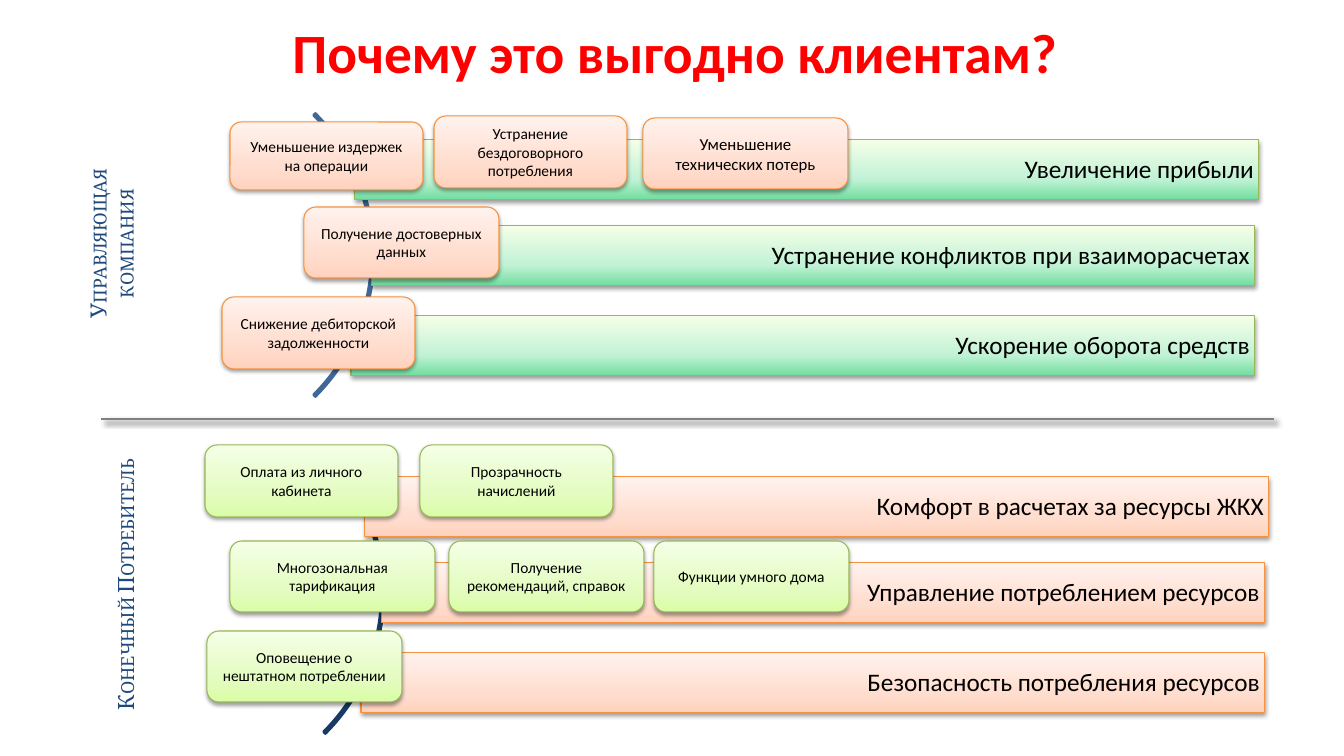
from pptx import Presentation
from pptx.dml.color import RGBColor
from pptx.enum.shapes import MSO_CONNECTOR, MSO_SHAPE
from pptx.enum.text import MSO_ANCHOR, MSO_AUTO_SIZE, PP_ALIGN
from pptx.oxml import parse_xml
from pptx.oxml.ns import nsdecls
from pptx.util import Emu, Pt

SCALE = 914400 / 100.8

BLACK = RGBColor(0x00, 0x00, 0x00)
RED = RGBColor(0xFF, 0x00, 0x00)
NAVY = RGBColor(0x1F, 0x49, 0x7D)
GRAY = RGBColor(0x80, 0x80, 0x80)
ARC_BLUE = RGBColor(0x3F, 0x67, 0x97)
ARC_DARK = RGBColor(0x19, 0x3A, 0x64)
GREEN_LINE = RGBColor(0x98, 0xB9, 0x55)
ORANGE_LINE = RGBColor(0xF6, 0x92, 0x40)
PALE_GREEN = RGBColor(0xF5, 0xFF, 0xE7)

# Each style: gradient colours from bottom to top, then the outline
MINT = ((RGBColor(0x6F, 0xDE, 0x9E), RGBColor(0xC2, 0xF2, 0xD6), PALE_GREEN), GREEN_LINE)
LIME = ((RGBColor(0xDA, 0xFD, 0xA7), RGBColor(0xE4, 0xFC, 0xC2), PALE_GREEN), GREEN_LINE)
PEACH = ((RGBColor(0xFF, 0xD2, 0xBD), RGBColor(0xFF, 0xDE, 0xD0),
          RGBColor(0xFF, 0xF2, 0xED)), ORANGE_LINE)

# Bars of one section: left, top, width
BARS = [(355, 140, 904), (372, 226, 883), (351, 316, 904)]
BAR_HEIGHT = 60
SECTION_SHIFT = (10, 337)

COMPANY_BARS = ["Увеличение прибыли", "Устранение конфликтов при взаиморасчетах",
                "Ускорение оборота средств"]
CONSUMER_BARS = ["Комфорт в расчетах за ресурсы ЖКХ", "Управление потреблением ресурсов",
                 "Безопасность потребления ресурсов"]

# Cards: text, left, top, width, height, font size
COMPANY_CARDS = [
    ("Получение достоверных данных", 304, 207, 195, 71, 11),
    ("Снижение дебиторской задолженности", 222, 297, 193, 72, 11),
    ("Уменьшение технических потерь", 643, 118, 205, 71, 12),
    ("Уменьшение издержек на операции", 230, 122, 193, 68, 11),
    ("Устранение бездоговорного потребления", 434, 116, 193, 72, 11),
]
CONSUMER_CARDS = [
    ("Оплата из личного кабинета", 205, 445, 193, 72, 11),
    ("Прозрачность начислений", 420, 445, 193, 72, 11),
    ("Многозональная тарификация", 230, 541, 205, 71, 11),
    ("Получение рекомендаций, справок", 449, 541, 195, 71, 11),
    ("Функции умного дома", 654, 541, 195, 71, 11),
    ("Оповещение о нештатном потреблении", 207, 631, 195, 71, 11),
]


def px(n):
    return Emu(round(n * SCALE))


def box(*lengths):
    return [px(n) for n in lengths]


def write(tf, text, size, color=BLACK, font="Calibri", bold=False, small_caps=False,
          align=PP_ALIGN.CENTER, anchor=MSO_ANCHOR.MIDDLE, spacing=None):
    tf.word_wrap = True
    tf.vertical_anchor = anchor
    p = tf.paragraphs[0]
    p.alignment = align
    if spacing:
        p.line_spacing = spacing
    r = p.add_run()
    r.text = text
    r.font.size = Pt(size)
    r.font.name = font
    r.font.bold = bold
    r.font.color.rgb = color
    if small_caps:
        r.font._element.set("cap", "small")


def add_shadow(sp, opacity, blur, distance, angle):
    sp._element.spPr.append(parse_xml(
        f'<a:effectLst {nsdecls("a")}><a:outerShdw blurRad="{Pt(blur)}" dist="{Pt(distance)}" '
        f'dir="{angle * 60000}" rotWithShape="0"><a:srgbClr val="{BLACK}">'
        f'<a:alpha val="{opacity * 1000}"/></a:srgbClr></a:outerShdw></a:effectLst>'))


def add_panel(s, kind, rect, style):
    colors, outline = style
    sp = s.shapes.add_shape(kind, *box(*rect))
    sp.line.color.rgb = outline
    sp.line.width = Pt(0.75)
    stops = "".join(f'<a:gs pos="{pos}"><a:srgbClr val="{color}"/></a:gs>'
                    for pos, color in zip((0, 35000, 100000), colors))
    sp._element.spPr.insert(2, parse_xml(
        f'<a:gradFill {nsdecls("a")} rotWithShape="1"><a:gsLst>{stops}</a:gsLst>'
        '<a:lin ang="16200000" scaled="0"/></a:gradFill>'))
    add_shadow(sp, 38, 3.1, 1.6, 90)
    return sp


def add_bar(s, text, rect, style):
    tf = add_panel(s, MSO_SHAPE.RECTANGLE, rect, style).text_frame
    tf.margin_left = px(47)
    tf.margin_right = px(5)
    write(tf, text, 18, align=PP_ALIGN.RIGHT, spacing=0.9)


def add_card(s, text, rect, size, style):
    sp = add_panel(s, MSO_SHAPE.ROUNDED_RECTANGLE, rect, style)
    write(sp.text_frame, text, size)


def add_arc(s, left, top, color):
    sp = s.shapes.add_shape(MSO_SHAPE.BLOCK_ARC, *box(left, top, 400, 400))
    for i, value in enumerate((189, 27, 0.006)):
        sp.adjustments[i] = value
    sp.fill.background()
    sp.line.color.rgb = color
    sp.line.width = Pt(2)
    sp.shadow.inherit = False


def add_side_label(s, text, rect):
    sp = s.shapes.add_textbox(*box(*rect))
    sp.rotation = 270
    write(sp.text_frame, text, 16, NAVY, "Cambria", small_caps=True, anchor=MSO_ANCHOR.BOTTOM)


def add_section(s, shift, arc_color, bar_texts, bar_style, cards, card_style):
    dx, dy = shift
    add_arc(s, -26 + dx, 55 + dy, arc_color)
    for text, (left, top, width) in zip(bar_texts, BARS):
        add_bar(s, text, (left + dx, top + dy, width, BAR_HEIGHT), bar_style)
    for text, *rect, size in cards:
        add_card(s, text, rect, size, card_style)


def add_divider(s):
    line = s.shapes.add_connector(MSO_CONNECTOR.STRAIGHT, *box(101, 419, 1274, 419))
    line.line.color.rgb = GRAY
    line.line.width = Pt(1.75)
    add_shadow(line, 40, 4, 3, 45)


def add_title(s, text):
    sp = s.shapes.title
    sp.left, sp.top, sp.width, sp.height = box(126, 24, 1098, 54)
    sp.text_frame.auto_size = MSO_AUTO_SIZE.NONE
    write(sp.text_frame, text, 39.6, RED, bold=True)


def main():
    prs = Presentation()
    prs.slide_width, prs.slide_height = box(1344, 756)
    s = prs.slides.add_slide(prs.slide_layouts.get_by_name("Title Only"))
    add_title(s, "Почему это выгодно клиентам?")

    # Benefits of the managing company and of the end consumer
    add_section(s, (0, 0), ARC_BLUE, COMPANY_BARS, MINT, COMPANY_CARDS, PEACH)
    add_section(s, SECTION_SHIFT, ARC_DARK, CONSUMER_BARS, PEACH, CONSUMER_CARDS, LIME)

    # Section labels and the line between the sections
    add_side_label(s, "Управляющая компания", (-10, 216, 251, 55))
    add_side_label(s, "Конечный Потребитель", (-25, 557, 282, 55))
    add_divider(s)

    prs.save("out.pptx")


main()
